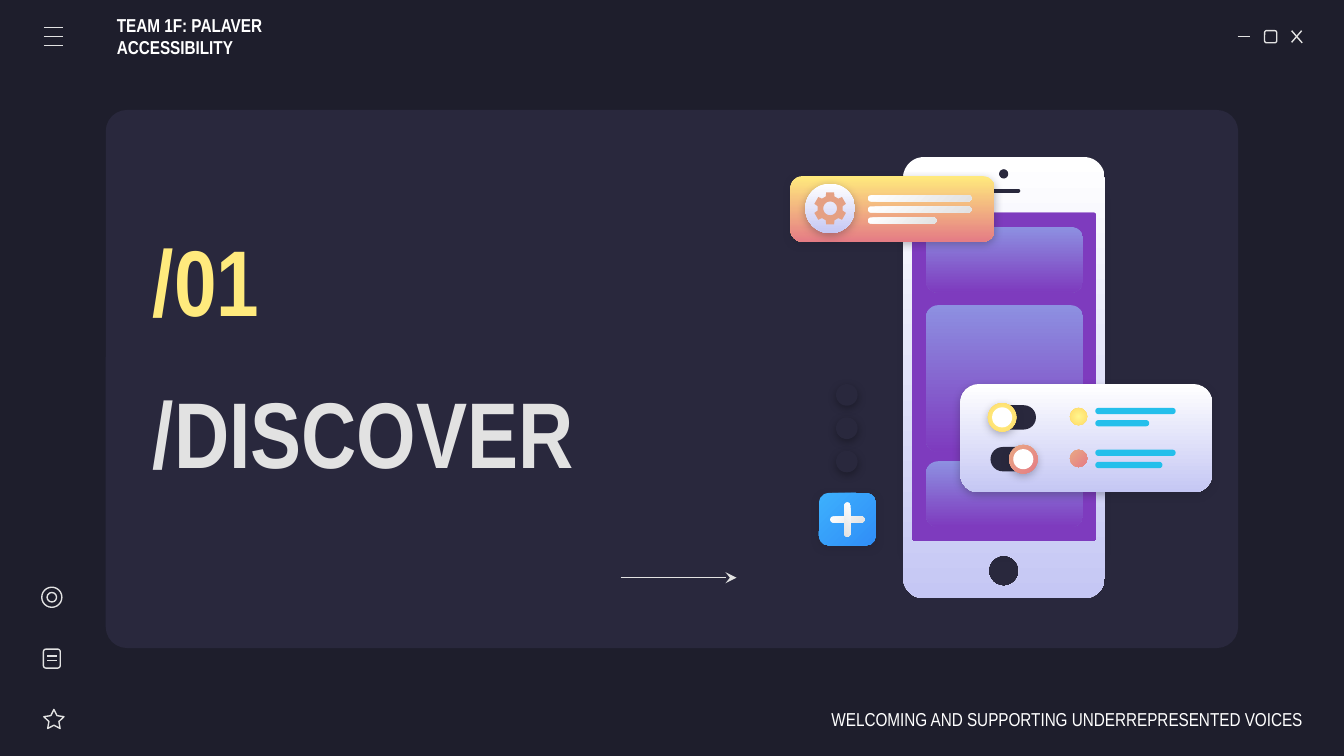
"""Builds the section slide with a phone illustration."""
from math import cos, radians, sin

from lxml.etree import SubElement
from pptx import Presentation
from pptx.dml.color import RGBColor
from pptx.enum.shapes import MSO_CONNECTOR as Link, MSO_SHAPE as Kind
from pptx.enum.text import MSO_ANCHOR as Anchor, MSO_AUTO_SIZE as Fit, PP_ALIGN as Align
from pptx.oxml.ns import qn
from pptx.util import Cm, Pt

NIGHT, PANEL, PALE, WHITE = "1E1E2C", "29283D", "E2E2E2", "FFFFFF"
YELLOW, PURPLE, CYAN = "FFEA7D", "7E3BBE", "24BFEB"
SILVER = (WHITE, "C5C7F4", 90)
CHROME = (WHITE, PALE, 45)
TILE = ("8D90E1", PURPLE, 90)
SUNSET = (YELLOW, "E57C85", 90)
GOLD = ("FFF68E", "FFD966", None)
CORAL = ("E9A984", "E57C85", 45)
AZURE = ("3DB0FD", "308EF7", 45)


def color(code):
    """Turn a hex string into a colour."""
    return RGBColor.from_string(code)


def polar(x, y, radius, degrees):
    """Return the point at an angle on a circle."""
    return x + radius * cos(radians(degrees)), y + radius * sin(radians(degrees))


def rounded(x, y, width, height, radius):
    """Return the outline of a rounded rectangle."""
    left, right = x + radius, x + width - radius
    top, bottom = y + radius, y + height - radius
    corners = [(right, bottom), (left, bottom), (left, top), (right, top)]
    return [polar(cx, cy, radius, 90 * turn + step * 7.5)
            for turn, (cx, cy) in enumerate(corners) for step in range(13)]


def disc(x, y, radius):
    """Return the outline of a circle around a centre."""
    return rounded(x - radius, y - radius, 2 * radius, 2 * radius, radius)


def gear(x, y, tip, root):
    """Return the outline of a six-toothed gear."""
    edges = [(root, -20), (tip, -14), (tip, 14), (root, 20)]
    return [polar(x, y, radius, 60 * tooth - 90 + angle)
            for tooth in range(6) for radius, angle in edges]


class Painter:
    """Holds the style and the current slide."""

    font = "Arial Narrow"
    stroke = Pt(0.75)

    def __init__(self, page):
        """Start on a slide with the dark background."""
        self.page = page
        page.background.fill.solid()
        page.background.fill.fore_color.rgb = color(NIGHT)

    def paint(self, shape, fill, shadow=None):
        """Give a shape its fill, or an outline if it has none, and its shadow."""
        shape.shadow.inherit = False
        if fill is None:
            shape.fill.background()
            shape.line.color.rgb = color(PALE)
            shape.line.width = self.stroke
            return shape
        shape.line.fill.background()
        if isinstance(fill, str):
            shape.fill.solid()
            shape.fill.fore_color.rgb = color(fill)
        else:
            self.blend(shape, *fill)
        if shadow:
            effects = shape.element.spPr.find(qn("a:effectLst"))
            outer = SubElement(effects, qn("a:outerShdw"), blurRad=str(Pt(4.5)),
                               dist=str(Pt(1.5)), dir="5400000", algn="bl", rotWithShape="0")
            tint = SubElement(outer, qn("a:srgbClr"), val=shadow)
            SubElement(tint, qn("a:alpha"), val="30000")
        return shape

    def blend(self, shape, first, last, angle):
        """Fill with a linear gradient, or a radial one if there is no angle."""
        shape.fill.gradient()
        for stop, code, place in zip(shape.fill.gradient_stops, (first, last), (0, 1)):
            stop.color.rgb = color(code)
            stop.position = place
        if angle is not None:
            shape.fill.gradient_angle = 360 - angle
            return
        gradient = shape.element.spPr.find(qn("a:gradFill"))
        gradient.remove(gradient.find(qn("a:lin")))
        radial = SubElement(gradient, qn("a:path"), path="circle")
        SubElement(radial, qn("a:fillToRect"), l="50000", t="50000", r="50000", b="50000")

    def preset(self, kind, x, y, width, height, fill=None, shadow=None):
        """Add a preset shape."""
        shape = self.page.shapes.add_shape(kind, Cm(x), Cm(y), Cm(width), Cm(height))
        return self.paint(shape, fill, shadow)

    def card(self, x, y, width, height, radius, fill=None, shadow=None):
        """Add a rounded rectangle with a corner radius."""
        shape = self.preset(Kind.ROUNDED_RECTANGLE, x, y, width, height, fill, shadow)
        shape.adjustments[0] = radius / min(width, height)
        return shape

    def bar(self, x, y, width, fill, height=0.12):
        """Add a bar with round ends."""
        return self.card(x, y, width, height, height / 2, fill)

    def circle(self, x, y, size, fill=None, shadow=None):
        """Add a circle."""
        return self.preset(Kind.OVAL, x, y, size, size, fill, shadow)

    def outline(self, contours, fill):
        """Add a freeform whose later contours are holes."""
        builder = None
        for contour in contours:
            points = [(Cm(x), Cm(y)) for x, y in contour]
            if builder is None:
                builder = self.page.shapes.build_freeform(*points[0])
            else:
                builder.move_to(*points[0])
            builder.add_line_segments(points[1:], close=True)
        return self.paint(builder.convert_to_shape(), fill)

    def line(self, x1, y1, x2, y2, head=False):
        """Add a thin line, with an arrowhead at its end if asked."""
        link = self.page.shapes.add_connector(Link.STRAIGHT, Cm(x1), Cm(y1), Cm(x2), Cm(y2))
        link.line.color.rgb = color(PALE)
        link.line.width = self.stroke
        if head:
            SubElement(link.element.spPr.find(qn("a:ln")), qn("a:tailEnd"), type="stealth")
        SubElement(link.element.spPr, qn("a:effectLst"))

    def fill_text(self, box, text, size, tint, bold=False, align=Align.LEFT, left=0.25, right=0.25):
        """Set and format the text of a box."""
        frame = box.text_frame
        frame.text = text
        frame.word_wrap, frame.auto_size = True, Fit.NONE
        frame.vertical_anchor = Anchor.MIDDLE
        frame.margin_left, frame.margin_right = Cm(left), Cm(right)
        frame.margin_top = frame.margin_bottom = Cm(0.25)
        para = frame.paragraphs[0]
        para.alignment = align
        for span in para.runs:
            span.font.name, span.font.size, span.font.bold = self.font, Pt(size), bold
            span.font.color.rgb = color(tint)

    def label(self, x, y, width, height, *text, **style):
        """Add a text box."""
        box = self.page.shapes.add_textbox(Cm(x), Cm(y), Cm(width), Cm(height))
        self.fill_text(box, *text, **style)

    def title(self, x, y, width, height, *text, **style):
        """Place the title in front of what is drawn so far."""
        box = self.page.shapes.title
        self.page.shapes[-1].element.addnext(box.element)
        box.left, box.top, box.width, box.height = Cm(x), Cm(y), Cm(width), Cm(height)
        self.fill_text(box, *text, **style)


def draw_frame(painter):
    """Draw the panel, the window buttons and the side icons."""
    painter.card(2, 2.08, 21.4, 10.17, 0.4, PANEL)
    painter.line(23.39, 0.69, 23.62, 0.69)
    painter.card(23.9, 0.58, 0.23, 0.23, 0.04)
    painter.line(24.41, 0.58, 24.61, 0.81)
    painter.line(24.6, 0.58, 24.41, 0.8)
    for row in range(3):
        painter.line(0.83, 0.52 + 0.17 * row, 1.2, 0.52 + 0.17 * row)
    star = painter.preset(Kind.STAR_5_POINT, 0.83, 13.41, 0.38, 0.36)
    for index, value in enumerate((0.25, 1.05, 1.11)):
        star.adjustments[index] = value
    painter.card(0.82, 12.27, 0.32, 0.36, 0.05)
    for y in (12.4, 12.49):
        painter.line(0.89, y, 1.07, y)
    painter.circle(0.79, 11.1, 0.38)
    painter.circle(0.89, 11.2, 0.18)


def draw_phone(painter):
    """Draw the phone with its screen tiles."""
    painter.preset(Kind.RECTANGLE, 17.12, 3.73, 3.71, 6.68, PURPLE, NIGHT)
    for y, height in ((4.29, 1.24), (5.77, 2.77), (8.72, 1.24)):
        painter.card(17.5, y, 2.97, height, 0.23, TILE)
    painter.outline([rounded(17.07, 2.97, 3.81, 8.34, 0.39), disc(18.97, 3.29, 0.09),
                     rounded(18.67, 3.57, 0.62, 0.08, 0.04),
                     rounded(17.23, 4.01, 3.49, 6.23, 0.05), disc(18.97, 10.79, 0.29)], SILVER)


def draw_cards(painter):
    """Draw the notification, the settings card and the add button."""
    painter.card(14.94, 3.33, 3.86, 1.24, 0.23, SUNSET, NIGHT)
    painter.circle(15.22, 3.47, 0.94, SILVER, NIGHT)
    painter.outline([gear(15.69, 3.94, 0.31, 0.24), disc(15.69, 3.94, 0.13)], "E5A083")
    for row, width in enumerate((1.96, 1.96, 1.3)):
        painter.bar(16.4, 3.69 + 0.21 * row, width, CHROME)
    painter.card(18.15, 7.26, 4.76, 2.05, 0.35, SILVER, NIGHT)
    for y, knob, tint, width in ((7.62, 18.67, GOLD, 1.02), (8.41, 19.07, CORAL, 1.27)):
        painter.bar(18.72, y + 0.04, 0.86, PANEL, 0.46)
        painter.circle(knob, y, 0.54, tint, NIGHT)
        painter.circle(knob + 0.08, y + 0.08, 0.38, WHITE)
        painter.circle(20.22, y + 0.09, 0.33, tint)
        painter.bar(20.7, y + 0.09, 1.52, CYAN)
        painter.bar(20.7, y + 0.32, width, CYAN)
    painter.card(15.48, 9.32, 1.07, 0.99, 0.18, AZURE, NIGHT)
    for turn in (0, 90):
        painter.bar(15.69, 9.76, 0.65, CHROME).rotation = turn
    for row in range(3):
        painter.circle(15.8, 7.26 + 0.63 * row, 0.41, PANEL, "000000")


def main():
    """Build and save the deck."""
    deck = Presentation()
    deck.slide_width, deck.slide_height = Cm(25.4), Cm(14.29)
    painter = Painter(deck.slides.add_slide(deck.slide_layouts[5]))
    draw_frame(painter)
    painter.title(2.64, 6.07, 10.92, 4.17, "/DISCOVER", 50, PALE, bold=True)
    painter.label(2.64, 4.11, 4.52, 2.34, "/01", 50, YELLOW, bold=True)
    painter.line(11.73, 10.92, 13.92, 10.92, head=True)
    draw_phone(painter)
    draw_cards(painter)
    painter.label(14.55, 13.21, 10.06, 0.76, "WELCOMING AND SUPPORTING UNDERREPRESENTED VOICES",
                  10, WHITE, align=Align.RIGHT, right=0)
    painter.label(2.21, 0.3, 5.11, 0.76, "TEAM 1F: PALAVER ACCESSIBILITY", 10, WHITE,
                  bold=True, left=0)
    deck.save("out.pptx")


if __name__ == "__main__":
    main()
